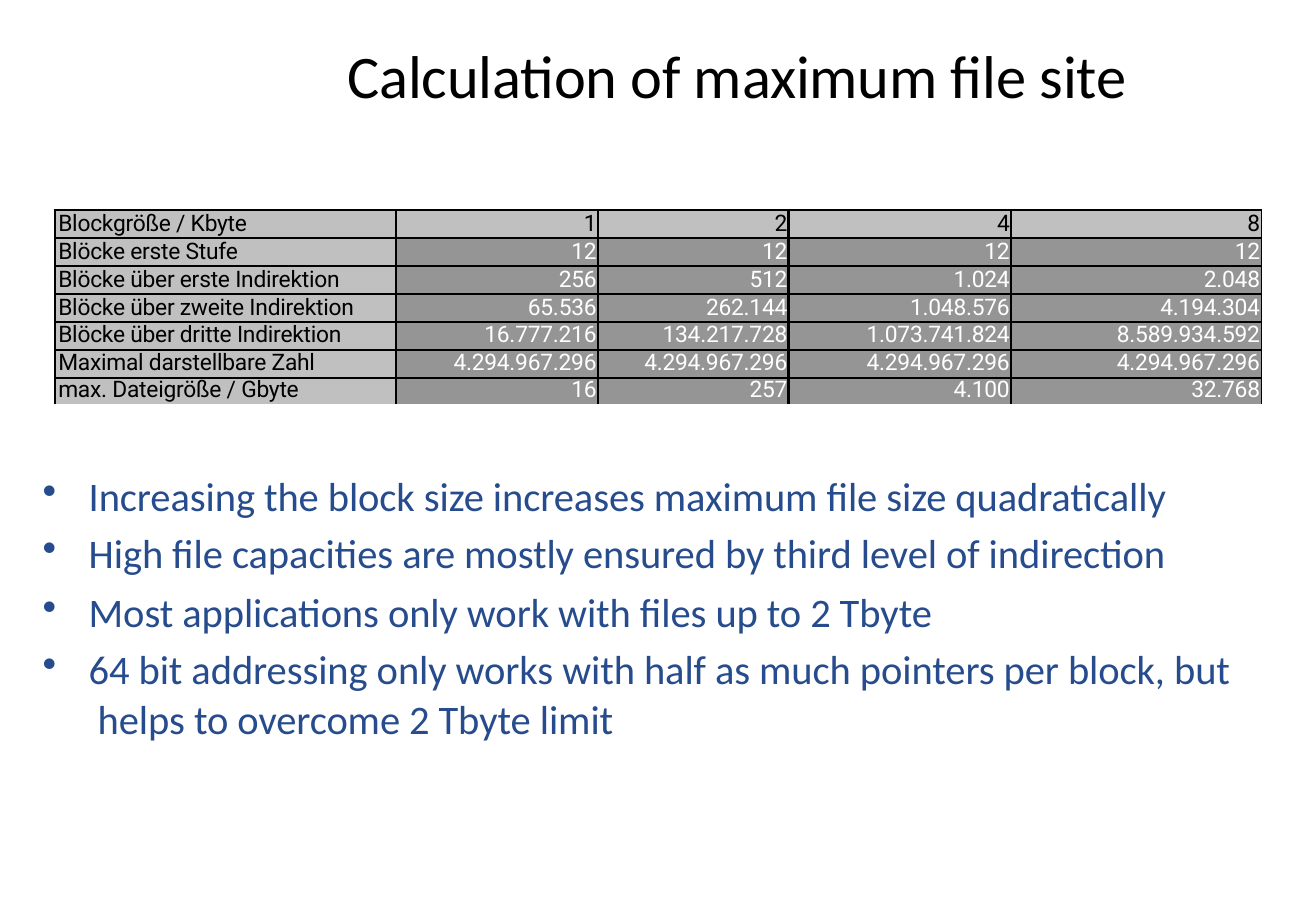
from dataclasses import dataclass

from lxml.etree import SubElement
from pptx import Presentation
from pptx.dml.color import RGBColor
from pptx.enum.text import MSO_ANCHOR, PP_ALIGN
from pptx.oxml.ns import qn
from pptx.slide import Slide
from pptx.table import _Cell
from pptx.text.text import TextFrame, _Paragraph
from pptx.util import Inches, Pt


@dataclass(frozen=True)
class Theme:
    text_font: str = "Calibri"
    table_font: str = "Roboto"
    title_size: float = 35.8
    bullet_size: float = 24
    table_size: float = 13.5
    black: str = "000000"
    white: str = "FFFFFF"
    blue: str = "264C8D"
    label_fill: str = "C0C0C0"
    value_fill: str = "959595"


@dataclass(frozen=True)
class TextStyle:
    font: str
    size: float
    color: str
    spacing: int  # hundredths of a point


@dataclass(frozen=True)
class TableRow:
    label: str
    values: tuple[str, ...]
    height: float = 0.23
    line_spacing: float = 15.8


@dataclass(frozen=True)
class Bullet:
    text: str
    space_before: float


THEME = Theme()
TITLE = "Calculation of maximum file site"
COLUMN_WIDTHS = (2.81, 1.66, 1.57, 1.83, 2.06)
ROWS = (
    TableRow("Blockgröße / Kbyte", ("1", "2", "4", "8"), line_spacing=15.7),
    TableRow("Blöcke erste Stufe", ("12",) * 4),
    TableRow("Blöcke über erste Indirektion", ("256", "512", "1.024", "2.048")),
    TableRow("Blöcke über zweite Indirektion",
             ("65.536", "262.144", "1.048.576", "4.194.304")),
    TableRow("Blöcke über dritte Indirektion",
             ("16.777.216", "134.217.728", "1.073.741.824", "8.589.934.592")),
    TableRow("Maximal darstellbare Zahl", ("4.294.967.296",) * 4),
    TableRow("max. Dateigröße / Gbyte", ("16", "257", "4.100", "32.768"),
             height=0.22, line_spacing=14.7),
)
BULLETS = (
    Bullet("Increasing the block size increases maximum file size quadratically", 6),
    Bullet("High file capacities are mostly ensured by third level of indirection", 5),
    Bullet("Most applications only work with files up to 2 Tbyte", 6.2),
    Bullet("64 bit addressing only works with half as much pointers per block, but\n"
           " helps to overcome 2 Tbyte limit", 4.8),
)


def write(p: _Paragraph, text: str, style: TextStyle) -> None:
    p.text = text
    for r in p.runs:
        r.font.name = style.font
        r.font.size = Pt(style.size)
        r.font.color.rgb = RGBColor.from_string(style.color)
        r._r.get_or_add_rPr().set("spc", str(style.spacing))


def set_indent(p: _Paragraph, left: float, first: float = 0) -> None:
    pPr = p._p.get_or_add_pPr()
    pPr.set("marL", str(Inches(left)))
    pPr.set("indent", str(Inches(first)))


def add_text_box(slide: Slide, left: float, top: float, width: float,
                 height: float, inset_top: float) -> TextFrame:
    sp = slide.shapes.add_textbox(Inches(left), Inches(top),
                                  Inches(width), Inches(height))
    tf = sp.text_frame
    tf.word_wrap = True
    tf.margin_left = tf.margin_right = tf.margin_bottom = 0
    tf.margin_top = Inches(inset_top)
    return tf


def set_border(cell: _Cell, side: str, width: float) -> None:
    """Draw one cell side in black; a width of 0 hides it."""
    ln = SubElement(cell._tc.get_or_add_tcPr(), qn(f"a:ln{side}"), w=str(Pt(width)))
    if width:
        fill = SubElement(ln, qn("a:solidFill"))
        SubElement(fill, qn("a:srgbClr"), val=THEME.black)
    else:
        SubElement(ln, qn("a:noFill"))


def add_title(slide: Slide) -> None:
    tf = add_text_box(slide, 2.85, 0.26, 7.26, 0.69, 0.01)
    tf.vertical_anchor = MSO_ANCHOR.MIDDLE
    p = tf.paragraphs[0]
    set_indent(p, 0.01)
    p.space_before = Pt(1)
    write(p, TITLE, TextStyle(THEME.text_font, THEME.title_size, THEME.black, -10))


def add_size_table(slide: Slide) -> None:
    table = slide.shapes.add_table(
        len(ROWS), len(COLUMN_WIDTHS), Inches(0.45), Inches(1.73),
        Inches(sum(COLUMN_WIDTHS)), Inches(sum(row.height for row in ROWS))).table
    table.first_row = table.horz_banding = False
    for column, width in zip(table.columns, COLUMN_WIDTHS):
        column.width = Inches(width)

    for i, row in enumerate(ROWS):
        table.rows[i].height = Inches(row.height)
        for j, text in enumerate((row.label, *row.values)):
            cell = table.cell(i, j)
            cell.margin_left = cell.margin_right = 0
            cell.margin_top = cell.margin_bottom = 0

            # Thin right edge, open bottom edge
            set_border(cell, "L", 1.5)
            set_border(cell, "R", 0.25 if j == len(COLUMN_WIDTHS) - 1 else 1.5)
            set_border(cell, "T", 1.5)
            set_border(cell, "B", 0 if i == len(ROWS) - 1 else 1.5)

            # Header row and label column share one look
            is_heading = i == 0 or j == 0
            cell.fill.solid()
            cell.fill.fore_color.rgb = RGBColor.from_string(
                THEME.label_fill if is_heading else THEME.value_fill)
            p = cell.text_frame.paragraphs[0]
            p.line_spacing = Pt(row.line_spacing)
            if j == 0:
                set_indent(p, 0.03)
            else:
                p.alignment = PP_ALIGN.RIGHT
                cell.margin_right = Inches(0.01)
            color = THEME.black if is_heading else THEME.white
            write(p, text, TextStyle(THEME.table_font, THEME.table_size, color, -10))


def add_bullets(slide: Slide) -> None:
    tf = add_text_box(slide, 0.34, 3.8, 9.87, 2.33, 0.08)
    style = TextStyle(THEME.text_font, THEME.bullet_size, THEME.blue, -5)
    for i, bullet in enumerate(BULLETS):
        p = tf.add_paragraph() if i else tf.paragraphs[0]
        set_indent(p, 0.39, -0.38)
        p.space_before = Pt(bullet.space_before)
        SubElement(p._p.get_or_add_pPr(), qn("a:buChar"), char="•")
        write(p, bullet.text, style)
    p.line_spacing = 1.01


def main() -> None:
    prs = Presentation()
    prs.slide_width, prs.slide_height = Inches(10.83), Inches(7.5)
    slide = prs.slides.add_slide(prs.slide_layouts[6])
    add_title(slide)
    add_size_table(slide)
    add_bullets(slide)
    prs.save("out.pptx")


if __name__ == "__main__":
    main()
